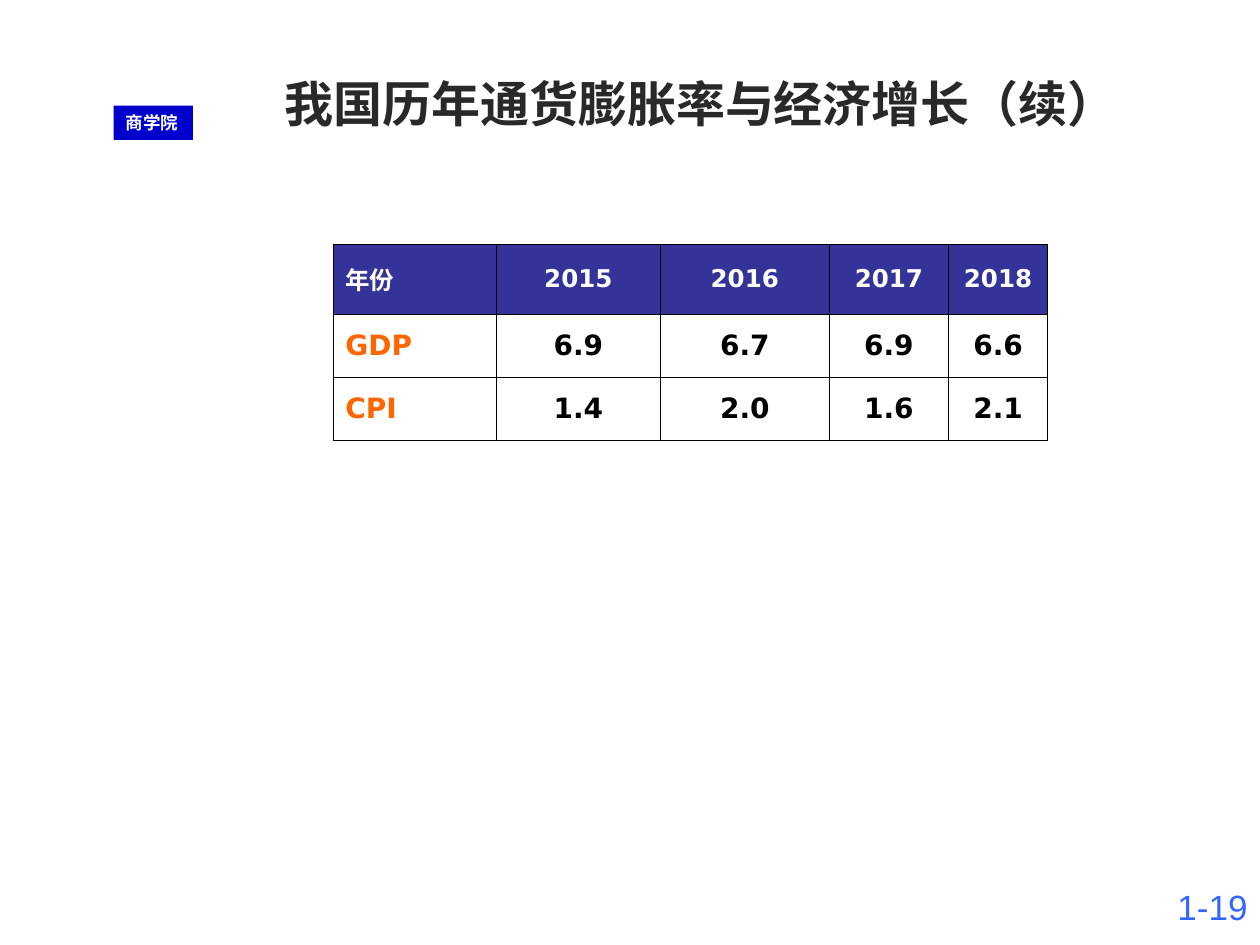
from lxml import etree
from pptx import Presentation
from pptx.dml.color import RGBColor
from pptx.enum.shapes import MSO_SHAPE
from pptx.enum.text import MSO_ANCHOR, PP_ALIGN
from pptx.oxml.ns import qn
from pptx.util import Cm, Pt

RECTANGLE = MSO_SHAPE.RECTANGLE
TOP, MIDDLE = MSO_ANCHOR.TOP, MSO_ANCHOR.MIDDLE
LEFT, CENTER, RIGHT = PP_ALIGN.LEFT, PP_ALIGN.CENTER, PP_ALIGN.RIGHT

COLORS = {
    "badge": "0000CC",
    "header": "333399",
    "label": "FF6600",
    "title": "292929",
    "number": "3366FF",
    "black": "000000",
    "white": "FFFFFF",
}


def write(frame, text, size, font, color, bold=False, align=LEFT, anchor=TOP):
    frame.word_wrap = True
    frame.vertical_anchor = anchor
    paragraph = frame.paragraphs[0]
    paragraph.alignment = align
    run = paragraph.add_run()
    run.text = text
    run.font.size = Pt(size)
    run.font.name = font
    run.font.bold = bold
    run.font.color.rgb = RGBColor.from_string(COLORS[color])


def add_borders(cell, color, width):
    properties = cell._tc.get_or_add_tcPr()
    for side in ("a:lnL", "a:lnR", "a:lnT", "a:lnB"):
        line = etree.SubElement(properties, qn(side), w=str(Pt(width)))
        fill = etree.SubElement(line, qn("a:solidFill"))
        etree.SubElement(fill, qn("a:srgbClr"), val=COLORS[color])


presentation = Presentation()
presentation.slide_width = Cm(25.4)
presentation.slide_height = Cm(19.05)
slide = presentation.slides.add_slide(presentation.slide_layouts[6])

# School badge
badge = slide.shapes.add_shape(RECTANGLE, Cm(2.29), Cm(2.13), Cm(1.6), Cm(0.69))
badge.shadow.inherit = False
badge.fill.solid()
badge.fill.fore_color.rgb = RGBColor.from_string(COLORS["badge"])
badge.line.fill.background()
write(badge.text_frame, "商学院", 10, "DejaVu Sans", "white", bold=True, anchor=MIDDLE)
badge.text_frame.word_wrap = False

# Page number
number = slide.shapes.add_textbox(Cm(19.48), Cm(17.73), Cm(5.92), Cm(1.32))
write(number.text_frame, "1-19", 20, "Arial", "number", align=RIGHT)

# Growth and inflation table
rows = [
    ["年份", "2015", "2016", "2017", "2018"],
    ["GDP", "6.9", "6.7", "6.9", "6.6"],
    ["CPI", "1.4", "2.0", "1.6", "2.1"],
]
column_widths = [3.3, 3.3, 3.41, 2.4, 2.0]
row_heights = [1.4, 1.27, 1.27]
table = slide.shapes.add_table(
    len(rows), len(column_widths), Cm(6.71), Cm(4.93),
    Cm(sum(column_widths)), Cm(sum(row_heights)),
).table
for column, width in zip(table.columns, column_widths):
    column.width = Cm(width)
for row, height in zip(table.rows, row_heights):
    row.height = Cm(height)

for row_index, values in enumerate(rows):
    is_header = row_index == 0
    for column_index, value in enumerate(values):
        is_label = column_index == 0
        cell = table.cell(row_index, column_index)
        add_borders(cell, "black", 0.45)
        cell.fill.solid()
        cell.fill.fore_color.rgb = RGBColor.from_string(
            COLORS["header" if is_header else "white"])
        color = "white" if is_header else "label" if is_label else "black"
        write(cell.text_frame, value, 14 if is_header else 16, "DejaVu Sans", color,
              bold=True, align=LEFT if is_label else CENTER)
        cell.vertical_anchor = MIDDLE

# Title
title = slide.shapes.add_textbox(Cm(5.49), Cm(1.35), Cm(17.4), Cm(2.11))
write(title.text_frame, "我国历年通货膨胀率与经济增长（续）", 28, "Arial", "title", bold=True)

presentation.save("out.pptx")
